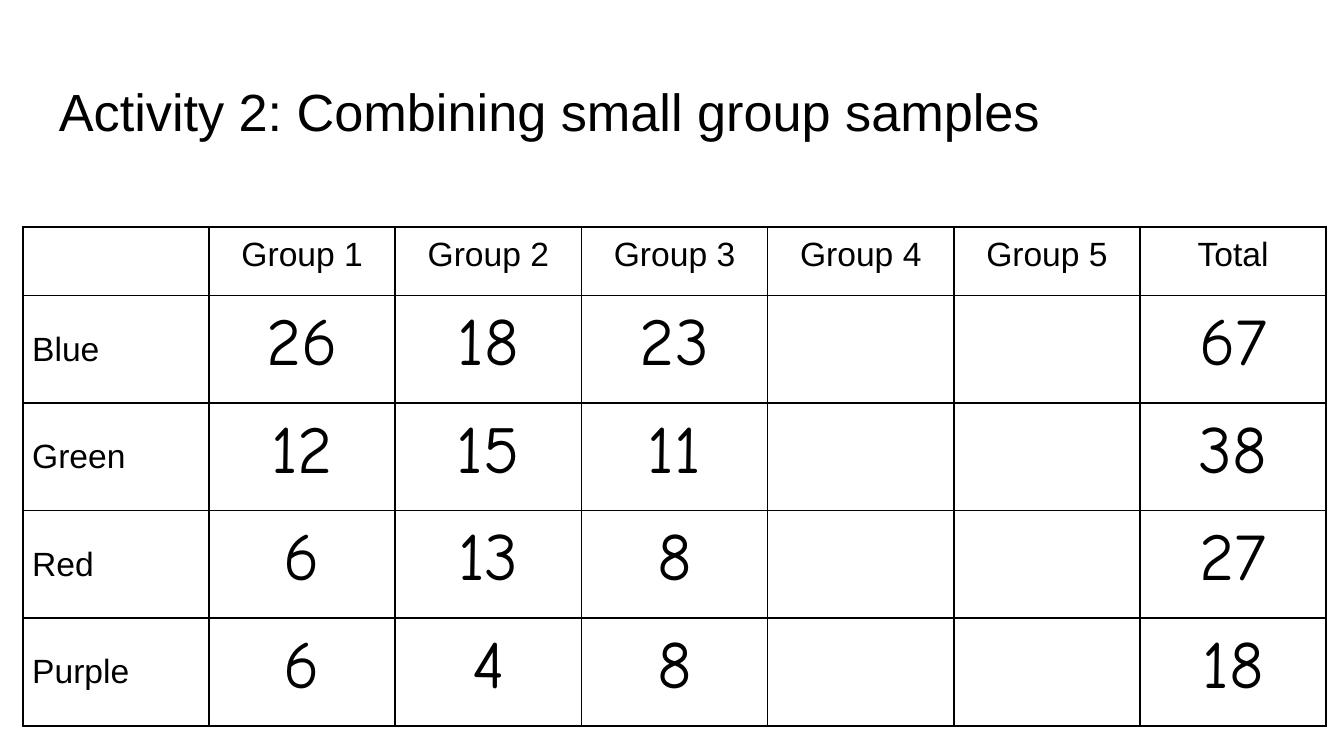
from lxml import etree
from pptx import Presentation
from pptx.dml.color import RGBColor
from pptx.enum import text
from pptx.oxml.ns import qn
from pptx.util import Inches, Pt

TITLE = "Activity 2: Combining small group samples"
ROWS = [
    ("", "Group 1", "Group 2", "Group 3", "Group 4", "Group 5", "Total"),
    ("Blue", "26", "18", "23", "", "", "67"),
    ("Green", "12", "15", "11", "", "", "38"),
    ("Red", "6", "13", "8", "", "", "27"),
    ("Purple", "6", "4", "8", "", "", "18"),
]
COLORS = {"ink": "000000", "paper": "FFFFFF"}
LABEL_FONT = ("Arial", 18)
COUNT_FONT = ("Comic Neue", 36)
TABLE_LEFT, TABLE_TOP, TABLE_WIDTH = 0.17, 1.69, 9.7
HEADER_HEIGHT, ROW_HEIGHT = 0.51, 0.8
CELL_MARGIN = Inches(0.07)


def style_run(p, name, size):
    for r in p.runs:
        r.font.name = name
        r.font.size = Pt(size)
        r.font.color.rgb = RGBColor.from_string(COLORS["ink"])


def add_borders(cell):
    """Put a 1 pt line on all four sides, ahead of the cell fill."""
    props = cell._tc.get_or_add_tcPr()
    for i, side in enumerate(("lnL", "lnR", "lnT", "lnB")):
        line = etree.Element(qn(f"a:{side}"), w=str(Pt(1)))
        fill = etree.SubElement(line, qn("a:solidFill"))
        etree.SubElement(fill, qn("a:srgbClr"), val=COLORS["ink"])
        props.insert(i, line)


def fill_cell(cell, value, row, col):
    cell.margin_left = cell.margin_right = CELL_MARGIN
    cell.margin_top = cell.margin_bottom = CELL_MARGIN
    cell.fill.background()
    add_borders(cell)
    cell.text_frame.text = value
    p = cell.text_frame.paragraphs[0]
    if col == 0:
        cell.vertical_anchor = text.MSO_ANCHOR.MIDDLE
    else:
        p.alignment = text.PP_ALIGN.CENTER
    style_run(p, *(COUNT_FONT if row and col else LABEL_FONT))


def add_title(s):
    sp = s.shapes.add_textbox(Inches(0.34), Inches(0.49), Inches(9.32), Inches(0.63))
    tf = sp.text_frame
    tf.word_wrap = True
    tf.margin_left = tf.margin_right = Inches(0.1)
    tf.margin_top = tf.margin_bottom = Inches(0.1)
    tf.text = TITLE
    style_run(tf.paragraphs[0], "Arial", 28)


def add_counts(s):
    heights = [HEADER_HEIGHT] + [ROW_HEIGHT] * (len(ROWS) - 1)
    columns = len(ROWS[0])
    frame = s.shapes.add_table(
        len(ROWS), columns, Inches(TABLE_LEFT), Inches(TABLE_TOP),
        Inches(TABLE_WIDTH), Inches(sum(heights)))
    table = frame.table
    table.first_row = table.horz_banding = False
    for column in table.columns:
        column.width = Inches(TABLE_WIDTH / columns)
    for i, (values, height) in enumerate(zip(ROWS, heights)):
        table.rows[i].height = Inches(height)
        for j, value in enumerate(values):
            fill_cell(table.cell(i, j), value, i, j)


def main():
    prs = Presentation()
    prs.slide_width = Inches(10)
    prs.slide_height = prs.slide_width * 9 // 16
    s = prs.slides.add_slide(prs.slide_layouts[6])
    s.background.fill.solid()
    s.background.fill.fore_color.rgb = RGBColor.from_string(COLORS["paper"])
    add_counts(s)
    add_title(s)
    prs.save("out.pptx")


if __name__ == "__main__":
    main()
